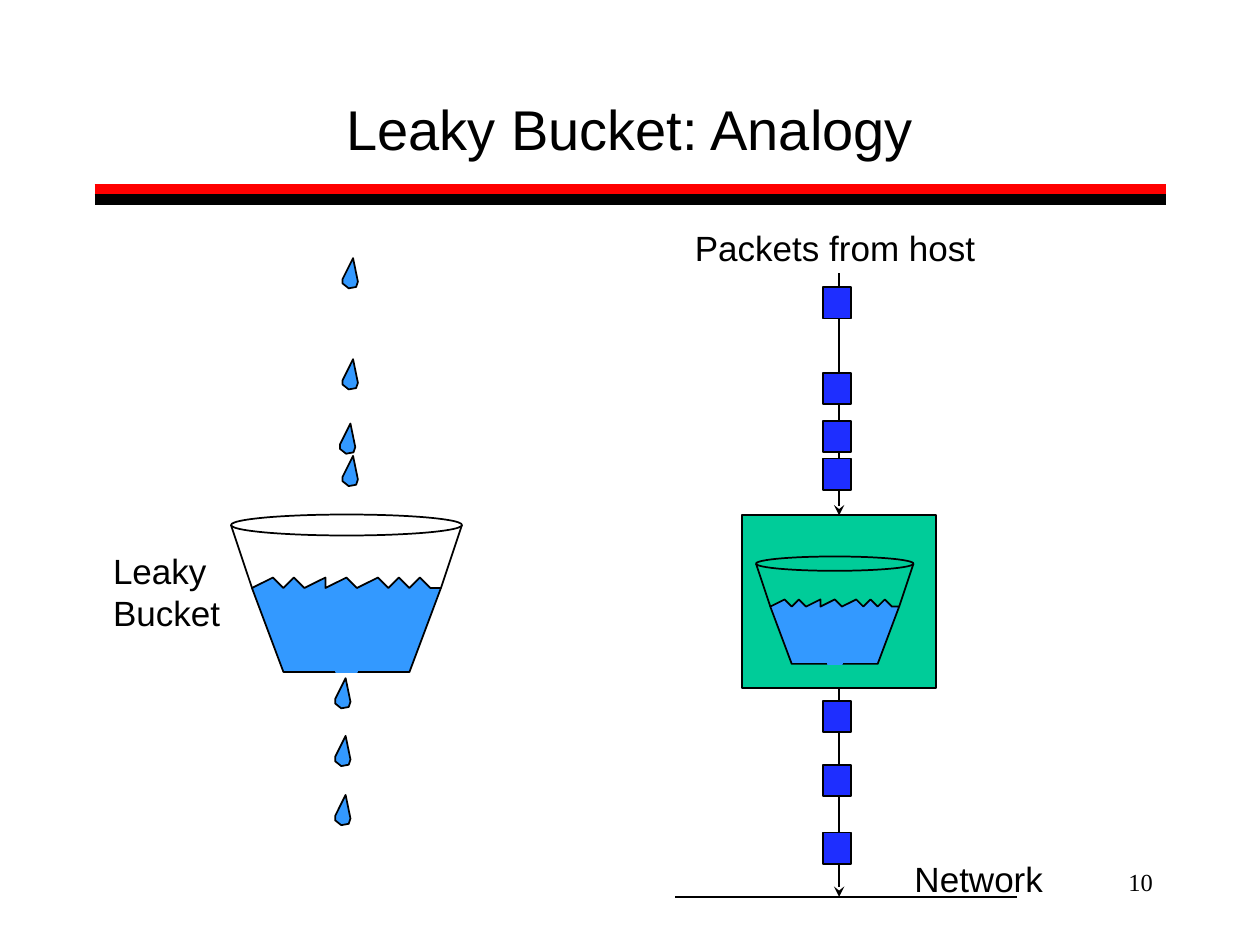
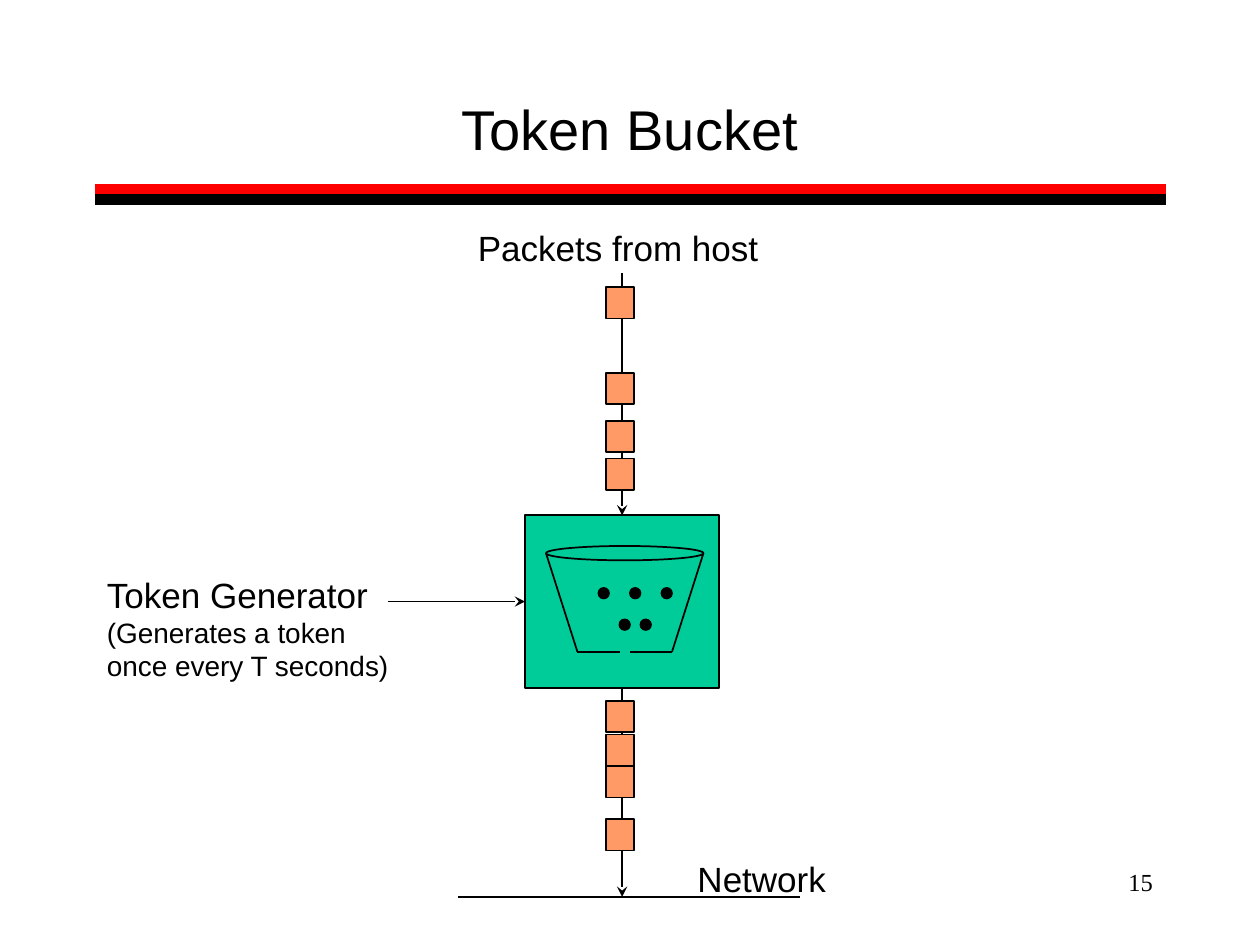
"""Builds two slides that explain leaky bucket and token bucket traffic shaping."""
from lxml.etree import SubElement
from pptx import Presentation
from pptx.dml.color import RGBColor
from pptx.enum.shapes import MSO_CONNECTOR, MSO_SHAPE
from pptx.enum.text import MSO_ANCHOR, MSO_AUTO_SIZE, PP_ALIGN
from pptx.oxml.ns import qn
from pptx.util import Pt

COLORS = {
    "ink": "000000",
    "rule": "FF0000",
    "water": "3399FF",
    "router": "00CC99",
    "data_packet": "1E2EFF",
    "token_packet": "FF9966",
}
FONTS = {
    "title": {"name": "Arial", "size": Pt(32), "bold": False},
    "label": {"name": "Arial", "size": Pt(20)},
    "detail": {"name": "Arial", "size": Pt(16)},
    "number": {"name": "Times New Roman", "size": Pt(14)},
}
BLANK_FRAME = {"word_wrap": False, "auto_size": MSO_AUTO_SIZE.SHAPE_TO_FIT_TEXT}
TITLE_FRAME = {
    "word_wrap": True,
    "auto_size": MSO_AUTO_SIZE.NONE,
    "vertical_anchor": MSO_ANCHOR.BOTTOM,
}

ROUTER_WIDTH, ROUTER_TOP, ROUTER_HEIGHT = 111, 294.5, 98.5
NETWORK_Y = 512.5
ARRIVAL_TOPS = (164, 213, 240.5, 262)
DROP_OUTLINE = ((6, 0), (0, 12), (0, 14.5), (3.5, 17.25), (7.75, 16.5), (8.75, 13.5))
DROP_PLACES = (
    (195.75, 147.5), (195.75, 205.25), (194.25, 242), (195.75, 260.5),
    (191.5, 387.5), (191.5, 420.5), (191.5, 454.25),
)
TOKEN_PLACES = ((342, 336), (360, 336), (378, 336), (354, 354), (366, 354))
RIM_UNITS = 22
WATER_OUTLINE = (
    (5, 15), (2, 7), (4, 6), (5, 7), (6, 6), (7, 7), (9, 6), (9, 7), (11, 6),
    (12, 7), (14, 6), (15, 7), (16, 6), (17, 7), (18, 6), (19, 7), (20, 7), (17, 15),
)
WATER_WALLS = ((20, 7, 22, 1), (2, 7, 0, 1))
EMPTY_WALLS = (
    (17.6, 14.8, 22, 1), (4.4, 14.8, 0, 1),
    (4.4, 14.8, 10.4, 14.8), (11.8, 14.8, 17.6, 14.8),
)


def color(name):
    """Return the named palette colour."""
    return RGBColor.from_string(COLORS[name])


def set_values(target, values):
    """Set each attribute of the target from a dict of values."""
    for name, value in values.items():
        setattr(target, name, value)


def style_line(line, line_color="ink", width=1):
    """Colour a line and set its width."""
    line.color.rgb = color(line_color)
    line.width = Pt(width)


def style_shape(shape, fill=None, line_color="ink"):
    """Give a shape its fill and outline, without a shadow."""
    shape.shadow.inherit = False
    if fill:
        shape.fill.solid()
        shape.fill.fore_color.rgb = color(fill)
    else:
        shape.fill.background()
    style_line(shape.line, line_color)


def add_preset(shapes, kind, box, fill=None, line_color="ink"):
    """Add a preset shape in a box of left, top, width and height."""
    shape = shapes.add_shape(kind, *map(Pt, box))
    style_shape(shape, fill, line_color)
    return shape


def add_outline(shapes, points, fill):
    """Add a closed polygon through the points."""
    corners = [(Pt(x), Pt(y)) for x, y in points]
    builder = shapes.build_freeform(*corners[0])
    builder.add_line_segments(corners[1:], close=True)
    style_shape(builder.convert_to_shape(), fill)


def add_line(shapes, ends, line_color="ink", width=1, arrow=False):
    """Add a straight line, with an arrowhead at its end if asked."""
    line = shapes.add_connector(MSO_CONNECTOR.STRAIGHT, *map(Pt, ends))
    style_line(line.line, line_color, width)
    properties = line._element.spPr
    SubElement(properties, qn("a:effectLst"))
    if arrow:
        SubElement(properties.find(qn("a:ln")), qn("a:tailEnd"), type="stealth")
    return line


def write_paragraph(paragraph, text, font, alignment=PP_ALIGN.LEFT):
    """Write one formatted run into a paragraph."""
    paragraph.alignment = alignment
    run = paragraph.add_run()
    run.text = text
    set_values(run.font, FONTS[font])
    run.font.color.rgb = color("ink")


def add_text(slide, box, lines, alignment=PP_ALIGN.LEFT):
    """Add a text box with one paragraph for each pair of text and font."""
    frame = slide.shapes.add_textbox(*map(Pt, box)).text_frame
    set_values(frame, BLANK_FRAME)
    for index, (text, font) in enumerate(lines):
        paragraph = frame.add_paragraph() if index else frame.paragraphs[0]
        write_paragraph(paragraph, text, font, alignment)
    return frame


def add_slide(presentation, title_text, number):
    """Add a slide with its title, double rule and number."""
    slide = presentation.slides.add_slide(presentation.slide_layouts[5])
    for y, rule_color in ((108, "rule"), (114, "ink")):
        add_line(slide.shapes, (54, y, 666, y), rule_color, 6)
    title = slide.shapes.title
    set_values(title, {"left": Pt(54), "top": Pt(30), "width": Pt(612), "height": Pt(66)})
    set_values(title.text_frame, TITLE_FRAME)
    write_paragraph(title.text_frame.paragraphs[0], title_text, "title", PP_ALIGN.CENTER)
    number_frame = add_text(slide, (516, 492, 150, 36), [(number, "number")], PP_ALIGN.RIGHT)
    set_values(number_frame, {"word_wrap": True, "auto_size": MSO_AUTO_SIZE.NONE})
    return slide


def add_packet_path(slide, axis, departure_tops, packet_color):
    """Draw packets flowing from the host through a router to the network."""
    shapes = slide.shapes
    router_box = (axis - ROUTER_WIDTH / 2, ROUTER_TOP, ROUTER_WIDTH, ROUTER_HEIGHT)
    router = add_preset(shapes, MSO_SHAPE.RECTANGLE, router_box, "router")
    arrival = add_line(shapes, (axis, 156.25, axis, ROUTER_TOP), arrow=True)
    arrival.end_connect(router, 0)
    departure_start = ROUTER_TOP + ROUTER_HEIGHT
    departure = add_line(shapes, (axis, departure_start, axis, NETWORK_Y), arrow=True)
    departure.begin_connect(router, 2)
    for top in ARRIVAL_TOPS + departure_tops:
        add_preset(shapes, MSO_SHAPE.RECTANGLE, (axis - 9.25, top, 16, 18), packet_color)
    add_line(shapes, (axis - 93.5, NETWORK_Y, axis + 101.5, NETWORK_Y))
    add_text(slide, (axis + 36, 486.75, 88, 31), [("Network", "label")])
    add_text(slide, (axis - 89.5, 126, 175, 31.5), [("Packets from host", "label")])
    return router


def add_bucket(slide, left, top, width, walls, has_water):
    """Draw a grouped bucket scaled to its rim width."""
    unit = width / RIM_UNITS
    shapes = slide.shapes.add_group_shape().shapes

    def place(x, y):
        """Turn bucket units into slide points."""
        return left + x * unit, top + y * unit

    if has_water:
        add_outline(shapes, [place(*point) for point in WATER_OUTLINE], "water")
    for x1, y1, x2, y2 in walls:
        add_line(shapes, place(x1, y1) + place(x2, y2))
    add_preset(shapes, MSO_SHAPE.OVAL, (left, top, width, 2 * unit))
    if has_water:
        leak_box = place(10, 14) + (2 * unit, unit)
        add_preset(shapes, MSO_SHAPE.RECTANGLE, leak_box, line_color="water")


def build_leaky_bucket(presentation):
    """Build the slide that compares a bucket with a packet queue."""
    slide = add_slide(presentation, "Leaky Bucket: Analogy", "10")
    for left, top in DROP_PLACES:
        add_outline(slide.shapes, [(left + x, top + y) for x, y in DROP_OUTLINE], "water")
    add_text(slide, (57.5, 310.25, 75.5, 55.5), [("Leaky", "label"), ("Bucket", "label")])
    add_packet_path(slide, 479.5, (400.5, 437, 475.75), "data_packet")
    add_bucket(slide, 132, 294, 132, WATER_WALLS, True)
    add_bucket(slide, 432, 318, 90, WATER_WALLS, True)


def build_token_bucket(presentation):
    """Build the slide with the token generator feeding the bucket."""
    slide = add_slide(presentation, "Token Bucket", "15")
    router = add_packet_path(slide, 355.5, (400.5, 419.75, 437.75, 468), "token_packet")
    generator_y = ROUTER_TOP + ROUTER_HEIGHT / 2
    token_arrow = add_line(slide.shapes, (222, generator_y, 300, generator_y), arrow=True)
    token_arrow.end_connect(router, 1)
    add_text(slide, (54, 324, 175.5, 70), [
        ("Token Generator", "label"),
        ("(Generates a token", "detail"),
        ("once every T seconds)", "detail"),
    ])
    add_bucket(slide, 312, 312, 90, EMPTY_WALLS, False)
    for left, top in TOKEN_PLACES:
        add_preset(slide.shapes, MSO_SHAPE.OVAL, (left, top, 6, 6), "ink")


def main():
    """Build both slides and save the presentation."""
    presentation = Presentation()
    presentation.slide_width, presentation.slide_height = Pt(720), Pt(540)
    build_leaky_bucket(presentation)
    build_token_bucket(presentation)
    presentation.save("out.pptx")


if __name__ == "__main__":
    main()
